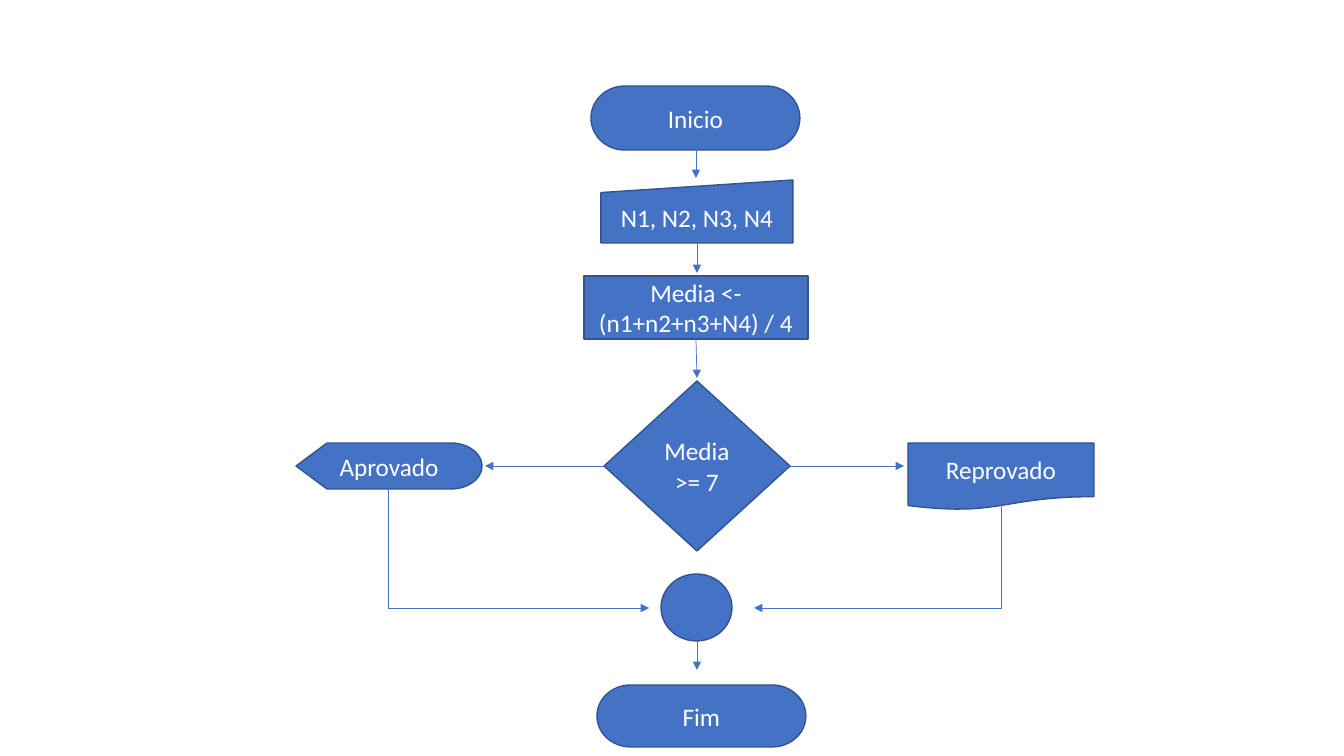
from lxml.etree import SubElement
from pptx import Presentation
from pptx.dml.color import RGBColor
from pptx.enum.shapes import MSO_CONNECTOR as Link, MSO_SHAPE as Form
from pptx.enum.text import MSO_ANCHOR as Anchor, PP_ALIGN as Align
from pptx.oxml.ns import qn
from pptx.util import Emu, Pt

EMU_PER_PIXEL = 914400 / 100.8
BLUE, NAVY, WHITE = "4472C4", "325491", "FFFFFF"
FONT_FORMAT = {"name": "Calibri", "size": Pt(18)}

STEPS = [
    (Form.FLOWCHART_TERMINATOR, "Inicio", (591, 86, 209, 64)),
    (Form.FLOWCHART_MANUAL_INPUT, "N1, N2, N3, N4", (601, 180, 192, 63)),
    (Form.FLOWCHART_PROCESS, "Media <- (n1+n2+n3+N4) / 4", (584, 276, 224, 63)),
    (Form.FLOWCHART_DECISION, "Media >= 7", (604, 381, 186, 170)),
    (Form.FLOWCHART_DISPLAY, "Aprovado", (296, 443, 186, 46)),
    (Form.FLOWCHART_DOCUMENT, "Reprovado", (908, 443, 186, 67)),
    (Form.FLOWCHART_CONNECTOR, "", (661, 574, 71, 67)),
    (Form.FLOWCHART_TERMINATOR, "Fim", (597, 685, 209, 62)),
]
STRAIGHT_ARROWS = [
    (696, 149, 696, 178),
    (697, 243, 697, 273),
    (696, 339, 697, 378),
    (604, 466, 485, 466),
    (790, 466, 904, 466),
    (697, 641, 697, 670),
]
BENT_ARROWS = [(388, 489, 649, 608), (1001, 505, 754, 608)]


def px(length):
    """Turn pixels into EMU."""
    return Emu(round(length * EMU_PER_PIXEL))


def color(value):
    """Turn a hex string into a colour."""
    return RGBColor.from_string(value)


def add_step(slide, form, text, frame):
    """Add one flowchart symbol with its centred label."""
    step = slide.shapes.add_shape(form, *map(px, frame))
    step.shadow.inherit = False
    step.fill.solid()
    step.fill.fore_color.rgb = color(BLUE)
    step.line.color.rgb = color(NAVY)
    step.line.width = Pt(1)
    if text:
        step.text_frame.vertical_anchor = Anchor.MIDDLE
        para = step.text_frame.paragraphs[0]
        para.alignment = Align.CENTER
        span = para.add_run()
        span.text = text
        for name, value in FONT_FORMAT.items():
            setattr(span.font, name, value)
        span.font.color.rgb = color(WHITE)


def add_arrow(slide, ends, kind=Link.STRAIGHT):
    """Add a thin connector with a triangle at its end."""
    arrow = slide.shapes.add_connector(kind, *map(px, ends))
    arrow.line.color.rgb = color(BLUE)
    arrow.line.width = Pt(0.5)
    outline = arrow.line._get_or_add_ln()
    SubElement(outline, qn("a:tailEnd"), type="triangle")
    SubElement(arrow._element.spPr, qn("a:effectLst"))
    return arrow


def add_bent_arrow(slide, start_x, start_y, end_x, end_y):
    """Add an arrow that goes down and then sideways, as a turned elbow."""
    middle_x, middle_y = (start_x + end_x) / 2, (start_y + end_y) / 2
    half_run, half_drop = abs(end_x - start_x) / 2, (end_y - start_y) / 2
    side, turn = (1, 270) if end_x > start_x else (-1, 90)
    ends = (middle_x + side * half_drop, middle_y - half_run,
            middle_x - side * half_drop, middle_y + half_run)
    arrow = add_arrow(slide, ends, Link.ELBOW)
    properties = arrow._element.spPr
    properties.find(qn("a:xfrm")).set("rot", str(turn * 60000))
    properties.find(qn("a:prstGeom")).set("prst", "bentConnector2")


def main():
    """Build the grade flowchart and save it."""
    deck = Presentation()
    deck.slide_width, deck.slide_height = px(1344), px(756)
    slide = deck.slides.add_slide(deck.slide_layouts[6])
    for step in STEPS:
        add_step(slide, *step)
    for ends in STRAIGHT_ARROWS:
        add_arrow(slide, ends)
    for ends in BENT_ARROWS:
        add_bent_arrow(slide, *ends)
    deck.save("out.pptx")


main()
